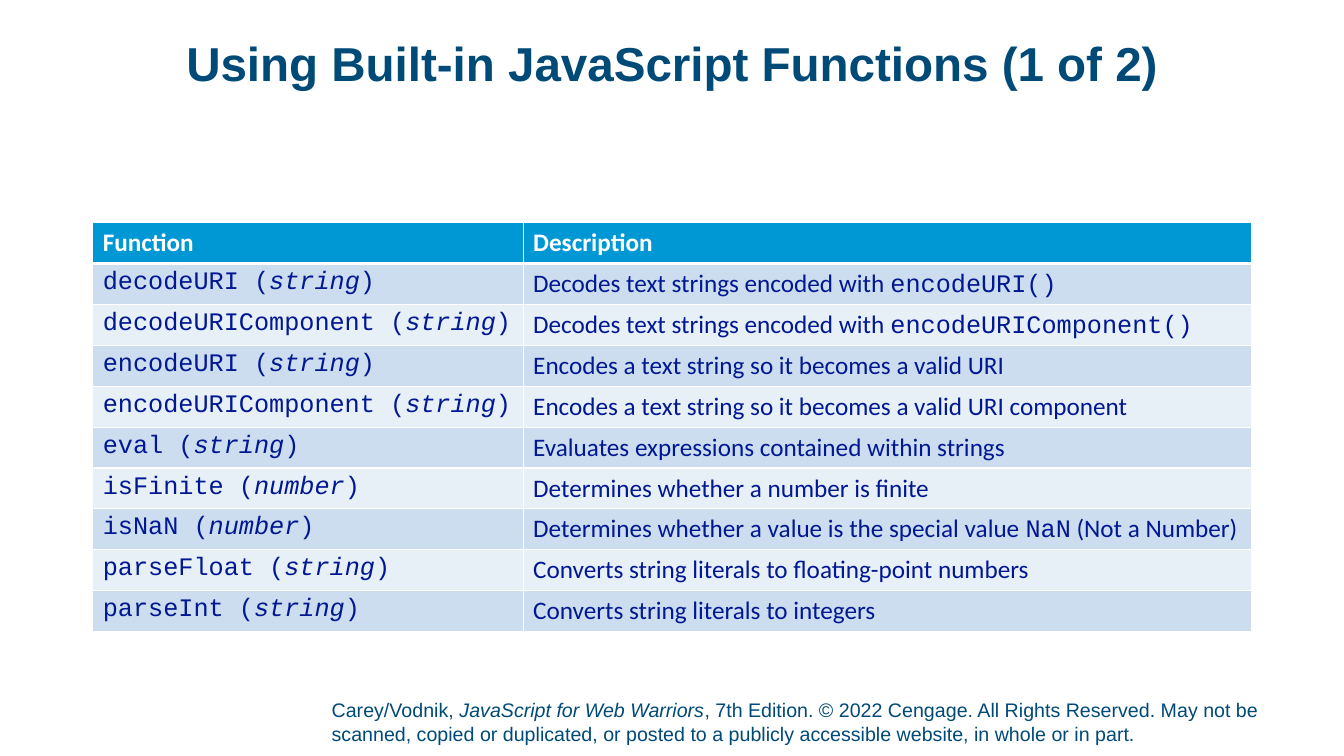
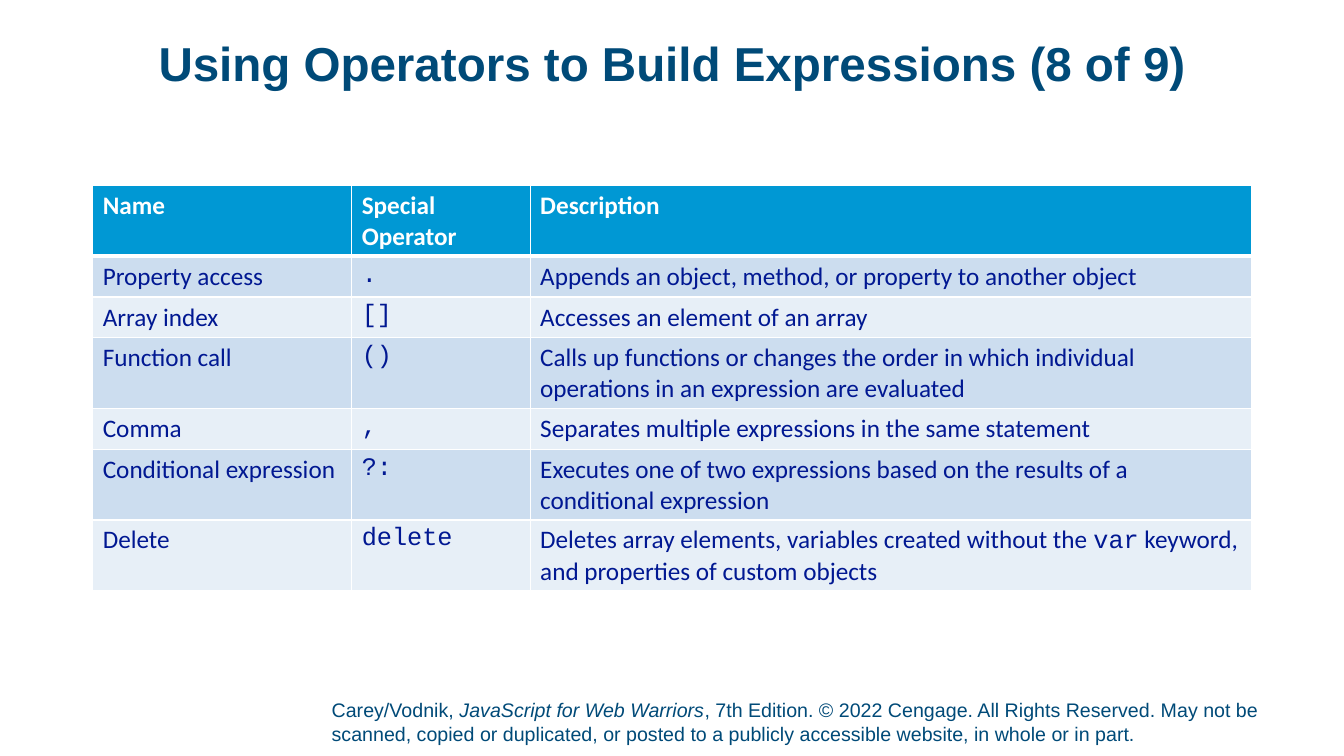
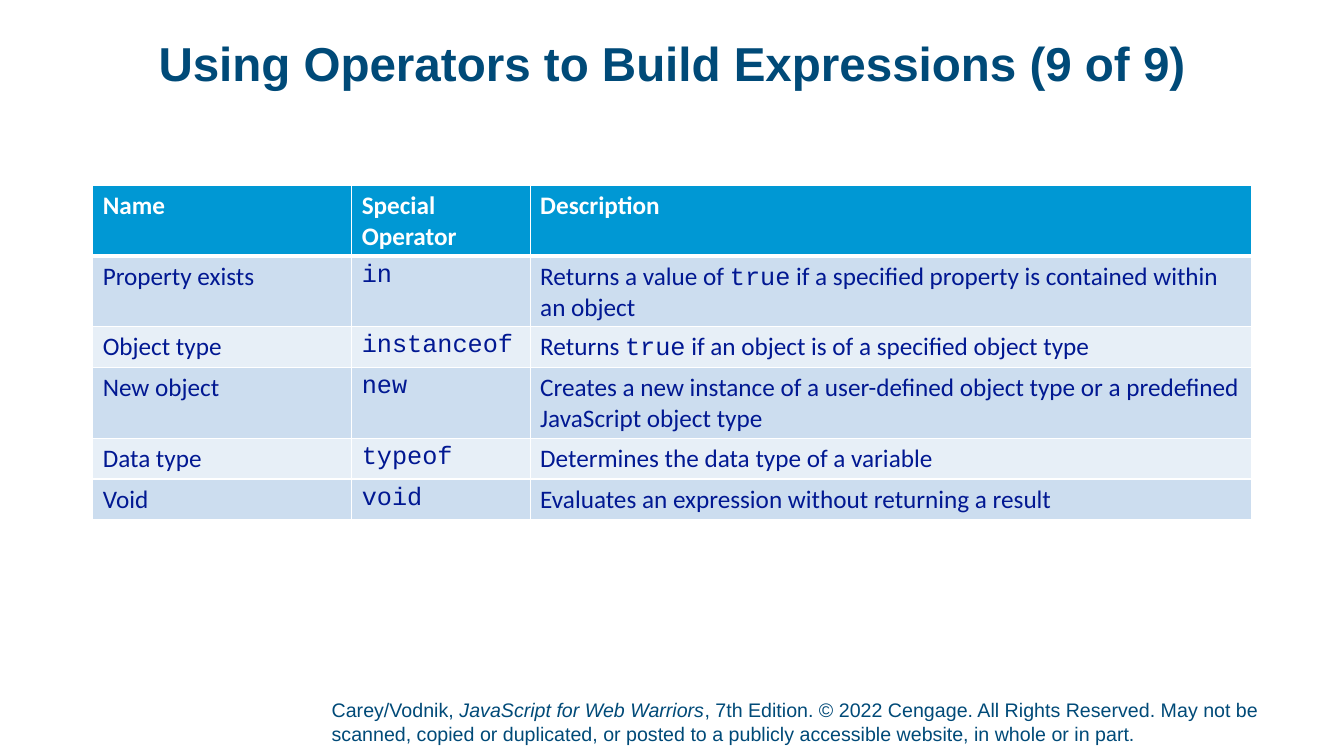
from lxml.etree import SubElement
from pptx import Presentation
from pptx.dml.color import RGBColor
from pptx.enum.text import MSO_ANCHOR, PP_ALIGN
from pptx.oxml.ns import qn
from pptx.util import Pt

# Shared style
NAVY = RGBColor(0x00, 0x4A, 0x78)
INK = RGBColor(0x01, 0x18, 0x92)
WHITE = RGBColor(0xFF, 0xFF, 0xFF)
HEADER_BLUE = RGBColor(0x00, 0x98, 0xD4)
BANDS = [RGBColor(0xE7, 0xEF, 0xF7), RGBColor(0xCC, 0xDD, 0xEF)]
HEADING_FONT, BODY_FONT, CODE_FONT = "Arial", "Calibri", "Courier New"
TABLE_LEFT, ROW_HEIGHT = 66.24, 29.2
FOOTER = (
    "Carey/Vodnik, *JavaScript for Web Warriors*, 7th Edition. © 2022 Cengage. "
    "All Rights Reserved. May not be scanned, copied or duplicated, or posted to "
    "a publicly accessible website, in whole or in part."
)

# Slide content: `code` and *italic*
OPERATOR_HEADER = ["Name", "Special Operator", "Description"]
OPERATOR_WIDTHS = [185.04, 127.44, 515.52]
SLIDES = [
    ("Using Built-in JavaScript Functions (1 of 2)", 159.12, [307.44, 520.56], [
        ["Function", "Description"],
        ["`decodeURI (*string*)`", "Decodes text strings encoded with `encodeURI()`"],
        ["`decodeURIComponent (*string*)`",
         "Decodes text strings encoded with `encodeURIComponent()`"],
        ["`encodeURI (*string*)`", "Encodes a text string so it becomes a valid URI"],
        ["`encodeURIComponent (*string*)`",
         "Encodes a text string so it becomes a valid URI component"],
        ["`eval (*string*)`", "Evaluates expressions contained within strings"],
        ["`isFinite (*number*)`", "Determines whether a number is finite"],
        ["`isNaN (*number*)`",
         "Determines whether a value is the special value `NaN` (Not a Number)"],
        ["`parseFloat (*string*)`", "Converts string literals to floating-point numbers"],
        ["`parseInt (*string*)`", "Converts string literals to integers"],
    ]),
    ("Using Operators to Build Expressions (8 of 9)", 132.48, OPERATOR_WIDTHS, [
        OPERATOR_HEADER,
        ["Property access", "`.`", "Appends an object, method, or property to another object"],
        ["Array index", "`[]`", "Accesses an element of an array"],
        ["Function call", "`()`",
         "Calls up functions or changes the order in which individual "
         "operations in an expression are evaluated"],
        ["Comma", "`,`", "Separates multiple expressions in the same statement"],
        ["Conditional expression", "`?:`",
         "Executes one of two expressions based on the results of a conditional expression"],
        ["Delete", "`delete`",
         "Deletes array elements, variables created without the `var` keyword, "
         "and properties of custom objects"],
    ]),
    ("Using Operators to Build Expressions (9 of 9)", 132.48, OPERATOR_WIDTHS, [
        OPERATOR_HEADER,
        ["Property exists", "`in`",
         "Returns a value of `true` if a specified property is contained within an object"],
        ["Object type", "`instanceof`",
         "Returns `true` if an object is of a specified object type"],
        ["New object", "`new`",
         "Creates a new instance of a user-defined object type or a predefined "
         "JavaScript object type"],
        ["Data type", "`typeof`", "Determines the data type of a variable"],
        ["Void", "`void`", "Evaluates an expression without returning a result"],
    ]),
]


def write(para, text, font, size, color, bold=False):
    """Fill a paragraph, switching to code at ` and to italic at *."""
    para.font.name, para.font.size, para.font.bold = font, Pt(size), bold
    para.font.color.rgb = color
    for code_index, stretch in enumerate(text.split("`")):
        for italic_index, part in enumerate(stretch.split("*")):
            if part:
                span = para.add_run()
                span.text = part
                if code_index % 2:
                    span.font.name = CODE_FONT
                if italic_index % 2:
                    span.font.italic = True


def add_text_box(page, left, top, width, height, anchor, bottom_inset=0):
    """Add a wrapping text box and return its first paragraph."""
    frame = page.shapes.add_textbox(Pt(left), Pt(top), Pt(width), Pt(height)).text_frame
    frame.word_wrap = True
    frame.vertical_anchor = anchor
    frame.margin_left = frame.margin_right = frame.margin_top = 0
    frame.margin_bottom = Pt(bottom_inset)
    return frame.paragraphs[0]


deck = Presentation()
deck.slide_width, deck.slide_height = Pt(960), Pt(540)

for title, table_top, widths, rows in SLIDES:
    page = deck.slides.add_slide(deck.slide_layouts[6])

    # Footer and title
    para = add_text_box(page, 236.88, 498.24, 704.88, 37.44, MSO_ANCHOR.BOTTOM, 3.6)
    write(para, FOOTER, HEADING_FONT, 14, NAVY)
    para = add_text_box(page, TABLE_LEFT, 28.8, 828, 53.28, MSO_ANCHOR.TOP)
    para.alignment, para.line_spacing = PP_ALIGN.CENTER, 0.9
    write(para, title, HEADING_FONT, 34, NAVY, bold=True)

    # Table
    table = page.shapes.add_table(
        len(rows), len(widths), Pt(TABLE_LEFT), Pt(table_top),
        Pt(sum(widths)), Pt(ROW_HEIGHT * len(rows))).table
    table.horz_banding = False
    for column, width in zip(table.columns, widths):
        column.width = Pt(width)
    for row_index, row in enumerate(rows):
        is_header = row_index == 0
        for column_index, text in enumerate(row):
            cell = table.cell(row_index, column_index)
            write(cell.text_frame.paragraphs[0], text, BODY_FONT, 18,
                  WHITE if is_header else INK, bold=is_header)

            # White borders, thicker below the header
            properties = cell._tc.get_or_add_tcPr()
            for side in ("lnL", "lnR", "lnT", "lnB"):
                thick = (row_index, side) in ((0, "lnB"), (1, "lnT"))
                line = SubElement(properties, qn(f"a:{side}"), w=str(Pt(3 if thick else 1)))
                fill = SubElement(line, qn("a:solidFill"))
                SubElement(fill, qn("a:srgbClr"), val=str(WHITE))
            cell.fill.solid()
            cell.fill.fore_color.rgb = HEADER_BLUE if is_header else BANDS[row_index % 2]

deck.save("out.pptx")
